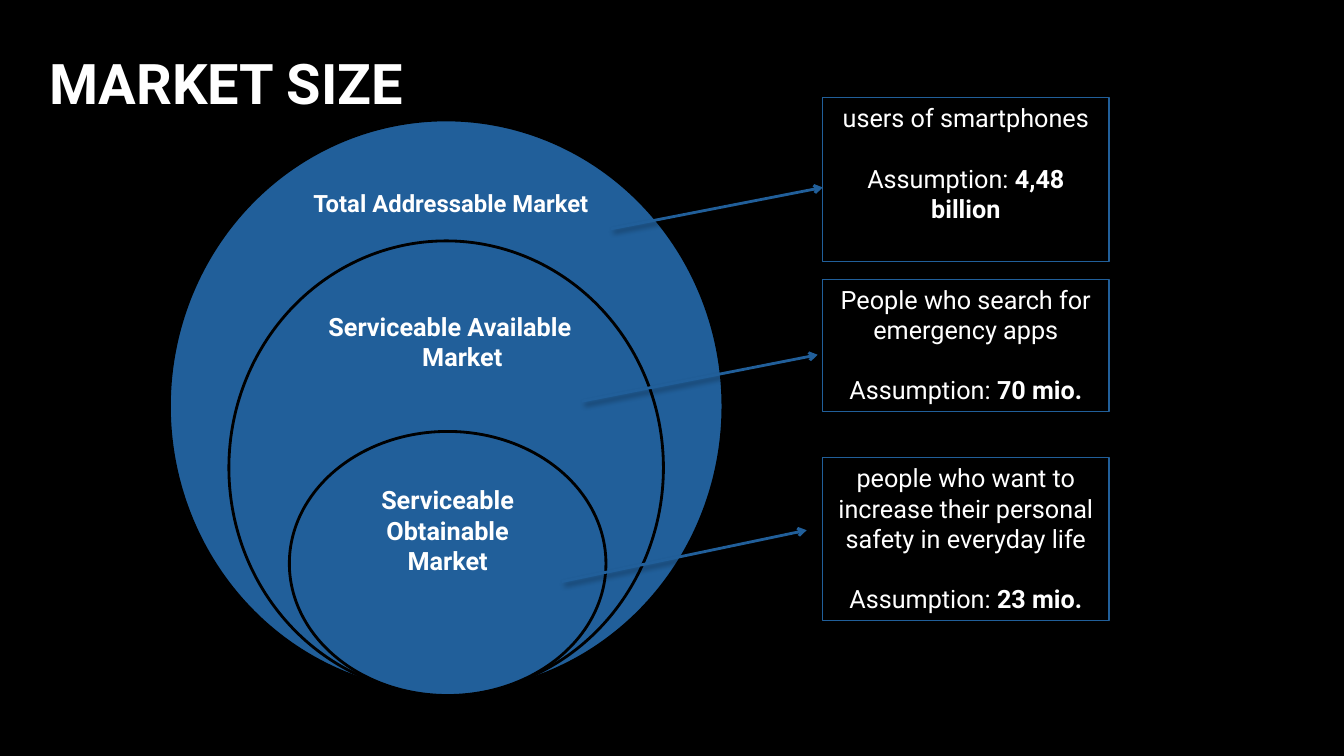
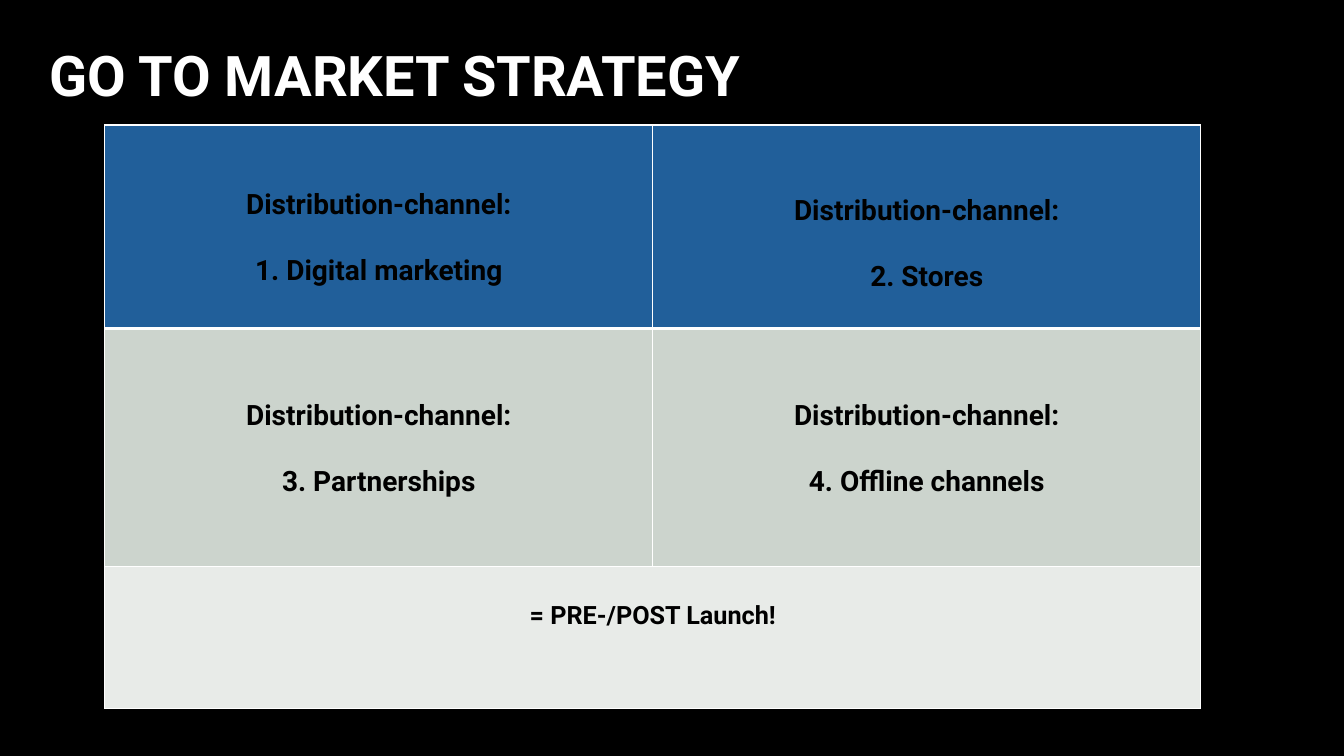
import lxml.etree
import pptx
import pptx.dml.color
import pptx.enum.shapes
import pptx.enum.text
import pptx.oxml
import pptx.oxml.ns
import pptx.util

Inches = pptx.util.Inches
Pt = pptx.util.Pt
ALIGN = pptx.enum.text.PP_ALIGN
ANCHOR = pptx.enum.text.MSO_ANCHOR
SHAPE = pptx.enum.shapes.MSO_SHAPE

FONT = "Roboto"
COLORS = {
    "black": "000000",
    "white": "FFFFFF",
    "blue": "215F9A",
    "sage": "CCD4CD",
    "mist": "E8EBE8",
}


def rgb(name):
    """Return the palette colour with this name."""
    return pptx.dml.color.RGBColor.from_string(COLORS[name])


def add_child(parent, tag, **attributes):
    """Append a DrawingML element and return it."""
    child = lxml.etree.SubElement(parent, pptx.oxml.ns.qn(tag))
    for key, value in attributes.items():
        child.set(key, str(value))
    return child


def write_para(para, spans, size=18, color="white", align=ALIGN.CENTER,
               before=0, indent=0):
    """Fill a paragraph with (text, bold) spans in one format."""
    para.alignment = align
    if before:
        para.space_before = Pt(before)
    if indent:
        para._p.get_or_add_pPr().set("marL", str(Inches(indent)))
    for text, bold in spans:
        span = para.add_run()
        span.text = text
        span.font.name = FONT
        span.font.size = Pt(size)
        span.font.bold = bold
        span.font.color.rgb = rgb(color)


def add_page(deck, title, top, height):
    """Add a page with its title in the shared style."""
    page = deck.slides.add_slide(deck.slide_layouts.get_by_name("Title Only"))
    box = page.shapes.title
    box.left, box.top = Inches(0.39), Inches(top)
    box.width, box.height = Inches(11.5), Inches(height)
    frame = box.text_frame
    frame.vertical_anchor = ANCHOR.MIDDLE
    para = frame.paragraphs[0]
    para.line_spacing = 0.9
    write_para(para, [(title, True)], size=40, align=ALIGN.LEFT)
    return page


def add_circle(page, left, top, width, height):
    """Add one market circle."""
    circle = page.shapes.add_shape(SHAPE.OVAL, Inches(left), Inches(top),
                                   Inches(width), Inches(height))
    circle.shadow.inherit = False
    circle.fill.solid()
    circle.fill.fore_color.rgb = rgb("blue")
    circle.line.color.rgb = rgb("black")
    circle.line.width = Pt(2)


def add_label(page, left, top, width, height, lines, **style):
    """Add a bold label whose lines are (text, indent) pairs."""
    box = page.shapes.add_textbox(Inches(left), Inches(top),
                                  Inches(width), Inches(height))
    frame = box.text_frame
    frame.word_wrap = True
    for index, (text, indent) in enumerate(lines):
        para = frame.add_paragraph() if index else frame.paragraphs[0]
        write_para(para, [(text, True)], indent=indent, **style)


def add_estimate(page, top, height, audience, amount):
    """Add an outlined box with an audience and its assumed size."""
    box = page.shapes.add_shape(SHAPE.RECTANGLE, Inches(8.16), Inches(top),
                                Inches(2.84), Inches(height))
    box.shadow.inherit = False
    box.fill.background()
    box.line.color.rgb = rgb("blue")
    box.line.width = Pt(0.75)
    frame = box.text_frame
    frame.word_wrap = True
    frame.vertical_anchor = ANCHOR.TOP
    write_para(frame.paragraphs[0], [(audience, False)])
    write_para(frame.add_paragraph(),
               [("Assumption: ", False), (amount, True)], before=21.5)


def add_arrow(page, start, end):
    """Add a blue arrow with a soft shadow."""
    arrow = page.shapes.add_connector(
        pptx.enum.shapes.MSO_CONNECTOR.STRAIGHT,
        *(Inches(value) for value in start + end))
    arrow.line.color.rgb = rgb("blue")
    arrow.line.width = Pt(2)
    add_child(arrow.line._get_or_add_ln(), "a:tailEnd", type="arrow")
    effects = add_child(arrow._element.spPr, "a:effectLst")
    shadow = add_child(effects, "a:outerShdw", blurRad=Pt(4), dist=Pt(3),
                       dir=45 * 60000, rotWithShape=0)
    shade = add_child(shadow, "a:srgbClr", val=COLORS["black"])
    add_child(shade, "a:alpha", val=40000)


def style_cell(cell, fill, top_width, bottom_width):
    """Give a cell white borders and a plain fill."""
    widths = {"a:lnL": 1, "a:lnR": 1, "a:lnT": top_width, "a:lnB": bottom_width}
    properties = cell._tc.get_or_add_tcPr()
    for tag, width in widths.items():
        line = add_child(properties, tag, w=Pt(width))
        paint = add_child(line, "a:solidFill")
        add_child(paint, "a:srgbClr", val=COLORS["white"])
    cell.fill.solid()
    cell.fill.fore_color.rgb = rgb(fill)


def write_cell(cell, lines, margin, size=20):
    """Write bold centred lines below a top margin."""
    cell.margin_top = Inches(margin)
    frame = cell.text_frame
    for index, text in enumerate(lines):
        para = frame.add_paragraph() if index else frame.paragraphs[0]
        write_para(para, [(text, True)], size=size, color="black",
                   before=23.5 if index else 0)


def add_channel_table(page):
    """Add the table of distribution channels."""
    heights = [2.02, 2.36, 1.41]
    fills = ["blue", "sage", "mist"]
    borders = [(1, 3), (3, 1), (1, 1)]
    channels = [
        [("1. Digital marketing", 0.63), ("2. Stores", 0.69)],
        [("3. Partnerships", 0.7), ("4. Offline channels", 0.7)],
    ]
    table = page.shapes.add_table(3, 2, Inches(1.04), Inches(1.24),
                                  Inches(10.87), Inches(sum(heights))).table
    for row, height in enumerate(heights):
        table.rows[row].height = Inches(height)
        for column in range(2):
            style_cell(table.cell(row, column), fills[row], *borders[row])
    for row, names in enumerate(channels):
        for column, (name, margin) in enumerate(names):
            write_cell(table.cell(row, column),
                       ["Distribution-channel:", name], margin)
    table.cell(2, 0).merge(table.cell(2, 1))
    write_cell(table.cell(2, 0), ["= PRE-/POST Launch!"], 0.34, size=18)


def build_market_size(deck):
    """Build the page with nested markets and their estimates."""
    page = add_page(deck, "MARKET SIZE", 0.13, 1.45)
    for circle in [(1.68, 1.19, 5.49, 5.68), (2.27, 2.39, 4.31, 4.5),
                   (2.87, 4.28, 3.14, 2.62)]:
        add_circle(page, *circle)
    add_label(page, 3.01, 1.82, 3.08, 0.39,
              [("Total Addressable Market", 0)], size=17, align=ALIGN.LEFT)
    add_label(page, 3.16, 3.04, 2.8, 0.71,
              [("Serviceable Available", 0), ("Market", 0.93)],
              align=ALIGN.LEFT)
    add_label(page, 3.64, 4.76, 1.6, 1.01,
              [("Serviceable Obtainable Market", 0)])
    for start, end in [((6.06, 2.27), (8.16, 1.86)),
                       ((5.77, 3.98), (8.11, 3.52)),
                       ((5.57, 5.77), (8, 5.26))]:
        add_arrow(page, start, end)
    for estimate in [
        (0.97, 1.62, "users of smartphones", "4,48 billion"),
        (2.77, 1.31, "People who search for emergency apps", "70 mio."),
        (4.54, 1.62, "people who want to increase their personal safety "
                     "in everyday life", "23 mio."),
    ]:
        add_estimate(page, *estimate)


def build_strategy(deck):
    """Build the page with the distribution channels."""
    page = add_page(deck, "GO TO MARKET STRATEGY", -0.03, 1.61)
    add_channel_table(page)


def main():
    """Build and save the deck."""
    deck = pptx.Presentation()
    deck.slide_width, deck.slide_height = Inches(13.33), Inches(7.5)
    background = deck.slide_master.background.fill
    background.solid()
    background.fore_color.rgb = rgb("black")
    build_market_size(deck)
    build_strategy(deck)
    deck.save("out.pptx")


if __name__ == "__main__":
    main()
